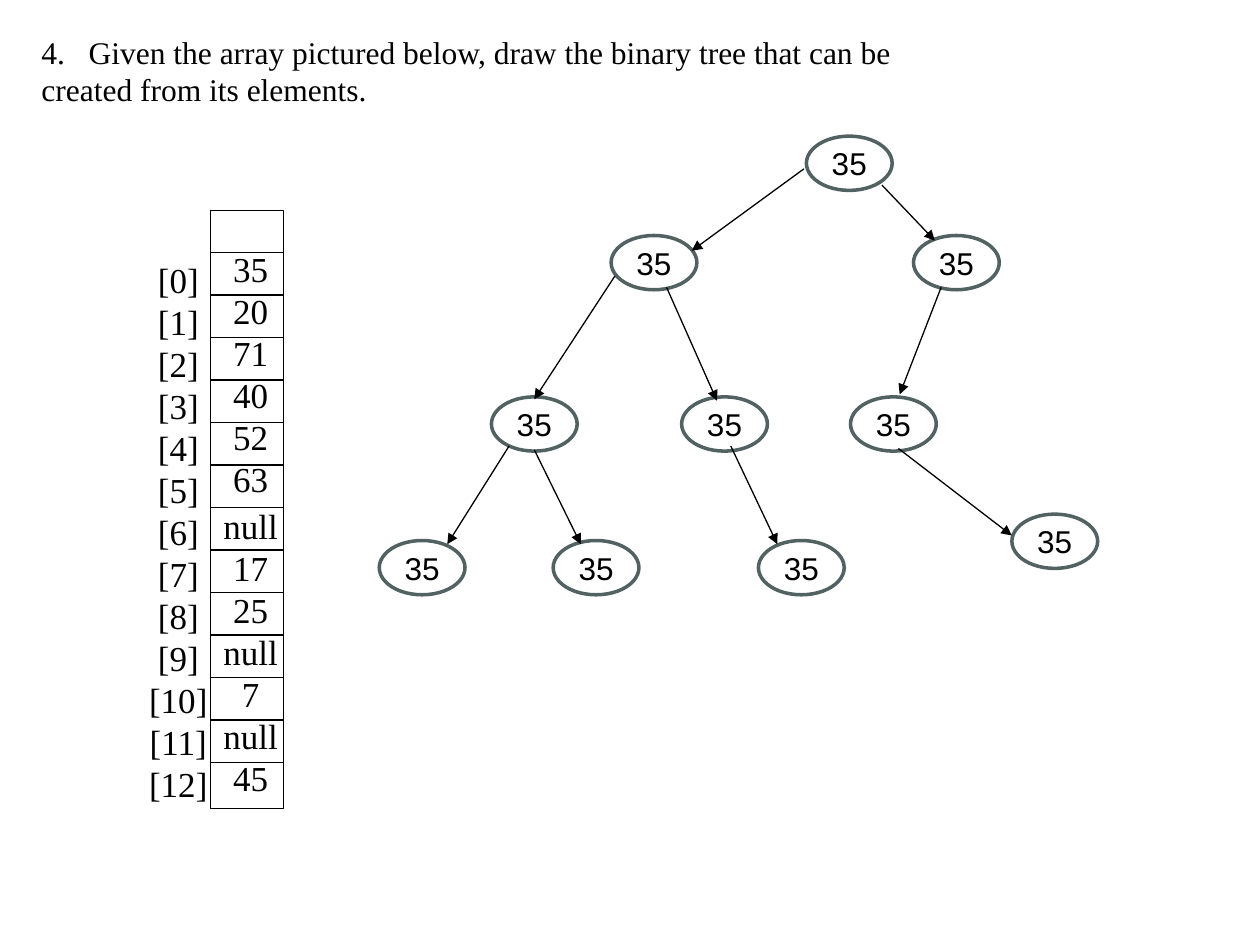
from lxml import etree
from pptx import Presentation
from pptx.dml.color import RGBColor
from pptx.enum import shapes, text
from pptx.oxml import ns
from pptx.util import Pt

ARRAY_LEFT, ARRAY_TOP, ARRAY_WIDTH, ARRAY_HEIGHT = 120.2, 120.2, 41.8, 342
FIRST_RULE, ROW_HEIGHT = 144.3, 24.28
VALUES = ["35", "20", "71", "40", "52", "63", "null",
          "17", "25", "null", "7", "null", "45"]
NODES = [
    (460.8, 77.8), (349.2, 134.6), (522, 134.6),
    (280.8, 226.8), (389.5, 226.8), (486, 226.8),
    (216.7, 308.9), (316.1, 308.9), (433.4, 308.9), (578.2, 293.8),
]
ARROWS = [
    ((459.4, 96.5), (395.3, 143.3)),
    ((504, 105.8), (534.2, 137.5)),
    ((351.4, 157.7), (305.3, 228.2)),
    ((380.9, 164.2), (409.7, 229)),
    ((537.8, 164.2), (514.1, 225.4)),
    ((290.9, 254.9), (255.6, 311)),
    ((305.3, 257), (331.9, 311)),
    ((417.6, 254.9), (444.2, 311)),
    ((513.4, 256.3), (578.2, 306)),
]


def color(hex_value):
    return RGBColor.from_string(hex_value)


class Sketch:
    serif, sans = "Times New Roman", "Arial"
    ink, outline, paper = "000000", "526263", "FFFFFF"
    thin, thick = 0.75, 2

    def __init__(self, slide):
        self.slide = slide

    def add_span(self, para, words, size, font, align):
        para.alignment = align
        span = para.add_run()
        span.text = words
        span.font.size = Pt(size)
        span.font.name = font
        span.font.color.rgb = color(self.ink)

    def text_box(self, bounds, lines, size, align):
        box = self.slide.shapes.add_textbox(*map(Pt, bounds))
        frame = box.text_frame
        frame.word_wrap = False
        frame.auto_size = text.MSO_AUTO_SIZE.SHAPE_TO_FIT_TEXT
        for index, words in enumerate(lines):
            para = frame.add_paragraph() if index else frame.paragraphs[0]
            self.add_span(para, words, size, self.serif, align)
        return frame.paragraphs

    def number(self, para, start, indent):
        props = para._p.get_or_add_pPr()
        props.set("marL", str(Pt(indent)))
        props.set("indent", str(-Pt(indent)))
        etree.SubElement(props, ns.qn("a:buAutoNum"),
                         type="arabicPeriod", startAt=str(start))

    def shape(self, kind, bounds, line, width):
        shape = self.slide.shapes.add_shape(kind, *map(Pt, bounds))
        shape.shadow.inherit = False
        shape.fill.background()
        shape.line.color.rgb = color(line)
        shape.line.width = Pt(width)
        return shape

    def frame(self, *bounds):
        self.shape(shapes.MSO_SHAPE.RECTANGLE, bounds, self.ink, self.thin)

    def node(self, left, top, label):
        node = self.shape(shapes.MSO_SHAPE.OVAL, (left, top, 49, 31),
                          self.outline, self.thick)
        node.fill.solid()
        node.fill.fore_color.rgb = color(self.paper)
        frame = node.text_frame
        frame.margin_left = frame.margin_right = 0
        frame.vertical_anchor = text.MSO_ANCHOR.MIDDLE
        self.add_span(frame.paragraphs[0], label, 18, self.sans,
                      text.PP_ALIGN.CENTER)

    def line(self, start, end, arrow=False):
        line = self.slide.shapes.add_connector(
            shapes.MSO_CONNECTOR.STRAIGHT, *map(Pt, start + end))
        line.line.color.rgb = color(self.ink)
        line.line.width = Pt(self.thin)
        if arrow:
            etree.SubElement(line.line._get_or_add_ln(),
                             ns.qn("a:tailEnd"), type="triangle")
        etree.SubElement(line._element.spPr, ns.qn("a:effectLst"))


def main():
    deck = Presentation()
    deck.slide_width, deck.slide_height = Pt(720), Pt(540)
    sketch = Sketch(deck.slides.add_slide(deck.slide_layouts[6]))
    center = text.PP_ALIGN.CENTER

    sketch.frame(ARRAY_LEFT, ARRAY_TOP, ARRAY_WIDTH, ARRAY_HEIGHT)
    labels = [f"[{index}]" for index in range(len(VALUES))]
    sketch.text_box((77.8, 144, 48.2, 322.6), labels, 20, center)
    for row in range(len(VALUES)):
        height = FIRST_RULE + row * ROW_HEIGHT
        sketch.line((ARRAY_LEFT, height), (ARRAY_LEFT + ARRAY_WIDTH, height))

    question = sketch.text_box(
        (16.6, 15.1, 505.4, 51.1),
        ["Given the array pictured below, draw the binary tree that can be",
         "created from its elements."], 18, text.PP_ALIGN.LEFT)
    sketch.number(question[0], 4, 27)

    values = sketch.text_box((120.2, 137.8, 46.1, 322.3), VALUES, 20, center)
    values[VALUES.index("null")].space_before = Pt(3)

    for left, top in NODES:
        sketch.node(left, top, "35")
    for start, end in ARROWS:
        sketch.line(start, end, arrow=True)

    deck.save("out.pptx")


if __name__ == "__main__":
    main()
